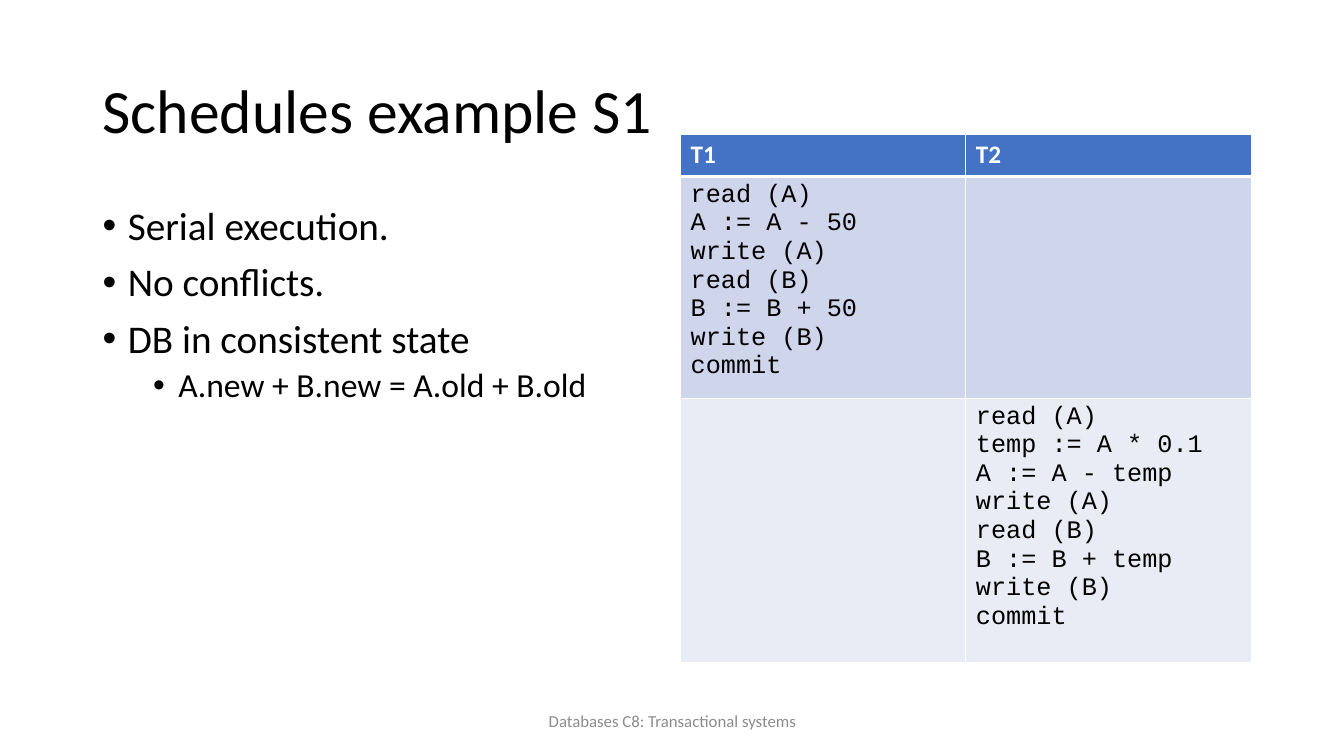
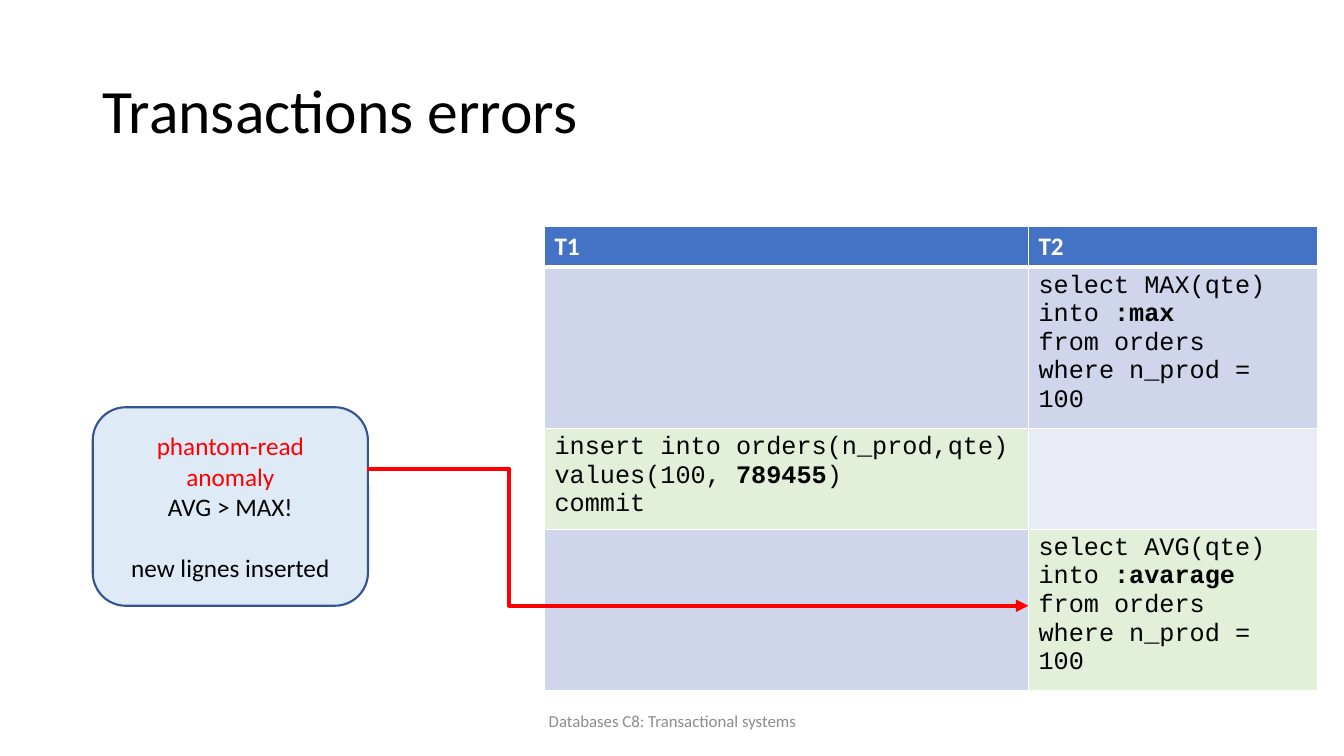
import pptx
import pptx.util
import pptx.dml.color
import pptx.enum.shapes
import pptx.enum.text
import pptx.oxml
import pptx.oxml.ns
from lxml import etree

EMU_PER_PX = 9144
BODY_FONT = "Calibri"
CODE_FONT = "Courier New"
BLACK = "000000"
WHITE = "FFFFFF"
RED = "FF0000"
FOOTER_GREY = "8C8C8C"
HEADER_BLUE = "4472C4"
BAND_DARK = "CFD5EA"
BAND_LIGHT = "E9EBF5"
ACTIVE_GREEN = "E2F0D9"
CALLOUT_FILL = "DEEBF7"
CALLOUT_LINE = "325491"
LEFT = pptx.enum.text.PP_ALIGN.LEFT
CENTER = pptx.enum.text.PP_ALIGN.CENTER
MIDDLE = pptx.enum.text.MSO_ANCHOR.MIDDLE
TOP = pptx.enum.text.MSO_ANCHOR.TOP


def px(*lengths):
    return [pptx.util.Emu(length * EMU_PER_PX) for length in lengths]


def rgb(hex_string):
    return pptx.dml.color.RGBColor.from_string(hex_string)


def child(parent, tag, **attributes):
    return etree.SubElement(parent, pptx.oxml.ns.qn(tag), attributes)


def paint(target, color):
    target.fill.solid()
    target.fill.fore_color.rgb = rgb(color)


def write(frame, text, size=18, font=BODY_FONT, color=BLACK, bold=False, align=LEFT,
          line_spacing=1.0, before=0, after=0):
    """A tuple of pieces alternates plain and bold text."""
    first = frame.paragraphs[0]
    paragraph = frame.add_paragraph() if first.runs else first
    paragraph.alignment = align
    paragraph.line_spacing = line_spacing
    paragraph.space_before = pptx.util.Pt(before)
    paragraph.space_after = pptx.util.Pt(after)
    pieces = (text,) if isinstance(text, str) else text
    for index, piece in enumerate(pieces):
        run = paragraph.add_run()
        run.text = piece
        run.font.size = pptx.util.Pt(size)
        run.font.name = font
        run.font.bold = bold or index % 2 == 1
        run.font.color.rgb = rgb(color)
    return paragraph


class Deck:
    def __init__(self):
        self.presentation = pptx.Presentation()
        self.presentation.slide_width, self.presentation.slide_height = px(1333, 750)
        self.slide = None

    def start_slide(self, title):
        self.slide = self.presentation.slides.add_slide(self.presentation.slide_layouts[6])
        write(self.text_frame(92, 40, 1150, 145, MIDDLE), title, size=44, line_spacing=0.9)
        write(self.text_frame(442, 695, 450, 40, MIDDLE), "Databases C8: Transactional systems",
              size=12, color=FOOTER_GREY, align=CENTER)

    def text_frame(self, left, top, width, height, anchor=TOP):
        frame = self.slide.shapes.add_textbox(*px(left, top, width, height)).text_frame
        frame.word_wrap = True
        frame.vertical_anchor = anchor
        return frame

    def bullets(self, left, top, width, height, items):
        frame = self.text_frame(left, top, width, height)
        for level, text in items:
            paragraph = write(frame, text, size=28 - 4 * level, line_spacing=0.9,
                              before=10 - 5 * level)
            paragraph.level = level
            properties = paragraph._p.get_or_add_pPr()
            margin, indent = px(25 + 50 * level, -25)
            properties.set("marL", str(margin))
            properties.set("indent", str(indent))
            child(properties, "a:buFont", typeface="Arial")
            child(properties, "a:buChar", char="•")

    def border(self, cell, row):
        widths = {"L": 1, "R": 1, "T": 3 if row == 1 else 1, "B": 3 if row == 0 else 1}
        properties = cell._tc.get_or_add_tcPr()
        for side, width in widths.items():
            line = child(properties, f"a:ln{side}", w=str(pptx.util.Pt(width)))
            child(child(line, "a:solidFill"), "a:srgbClr", val=WHITE)

    def schedule(self, left, top, columns, heights, steps, active=()):
        rows = [(["T1"], ["T2"]), *steps]
        table = self.slide.shapes.add_table(
            len(rows), len(columns), *px(left, top, sum(columns), sum(heights))).table
        for column, width in zip(table.columns, px(*columns)):
            column.width = width
        for row, height in zip(table.rows, px(*heights)):
            row.height = height
        for row, transactions in enumerate(rows):
            band = BAND_DARK if row % 2 else BAND_LIGHT
            for column, statements in enumerate(transactions):
                cell = table.cell(row, column)
                self.border(cell, row)
                if row == 0:
                    fill, style = HEADER_BLUE, dict(color=WHITE, bold=True)
                else:
                    fill = ACTIVE_GREEN if (row, column) in active else band
                    style = dict(font=CODE_FONT)
                paint(cell, fill)
                for statement in statements:
                    write(cell.text_frame, statement, **style)

    def callout(self, left, top, width, height, lines):
        box = self.slide.shapes.add_shape(
            pptx.enum.shapes.MSO_SHAPE.ROUNDED_RECTANGLE, *px(left, top, width, height))
        box.shadow.inherit = False
        paint(box, CALLOUT_FILL)
        box.line.color.rgb = rgb(CALLOUT_LINE)
        box.line.width = pptx.util.Pt(1.5)
        box.text_frame.word_wrap = True
        box.text_frame.vertical_anchor = MIDDLE
        for text, style in lines:
            write(box.text_frame, text, align=CENTER, **style)

    def bent_arrow(self, start_x, start_y, end_x, end_y, bend_x):
        arrow = self.slide.shapes.add_connector(
            pptx.enum.shapes.MSO_CONNECTOR.ELBOW, *px(start_x, start_y, end_x, end_y))
        arrow.line.color.rgb = rgb(RED)
        arrow.line.width = pptx.util.Pt(3)
        properties = arrow.element.spPr
        bend = round(100000 * (bend_x - start_x) / (end_x - start_x))
        adjustments = properties.find(".//" + pptx.oxml.ns.qn("a:avLst"))
        child(adjustments, "a:gd", name="adj1", fmla=f"val {bend}")
        child(properties.find(pptx.oxml.ns.qn("a:ln")), "a:tailEnd", type="triangle")
        child(properties, "a:effectLst")


def serial_schedule(deck):
    deck.start_slide("Schedules example S1")
    deck.bullets(92, 200, 567, 476, [
        (0, "Serial execution."),
        (0, "No conflicts."),
        (0, "DB in consistent state"),
        (1, "A.new + B.new = A.old + B.old"),
    ])
    transfer = ["read (A)", "A := A - 50", "write (A)", "read (B)", "B := B + 50",
                "write (B)", "commit"]
    percentage = ["read (A)", "temp := A * 0.1", "A := A - temp", "write (A)", "read (B)",
                  "B := B + temp", "write (B)", "commit"]
    deck.schedule(675, 133, [283, 283], [42, 208, 262], [(transfer, []), ([], percentage)])


def phantom_read(deck):
    deck.start_slide("Transactions errors")

    def query(aggregate, variable):
        return [f"select {aggregate}(qte)", ("into ", variable), "from orders",
                "where n_prod = 100"]

    insertion = [("insert into orders(n_prod,qte) values(100, ", "789455", ")"), "commit"]
    deck.schedule(540, 225, [480, 287], [38, 152, 96, 152], [
        ([], query("MAX", ":max")),
        (insertion, []),
        ([], query("AVG", ":avarage")),
    ], active={(2, 0), (3, 1)})
    deck.callout(92, 404, 273, 197, [
        ("phantom-read anomaly", dict(color=RED)),
        ("AVG > MAX!", dict(after=22)),
        ("new lignes inserted", {}),
    ])
    deck.bent_arrow(364, 465, 1020, 601, 505)


def main():
    deck = Deck()
    serial_schedule(deck)
    phantom_read(deck)
    deck.presentation.save("out.pptx")


if __name__ == "__main__":
    main()
